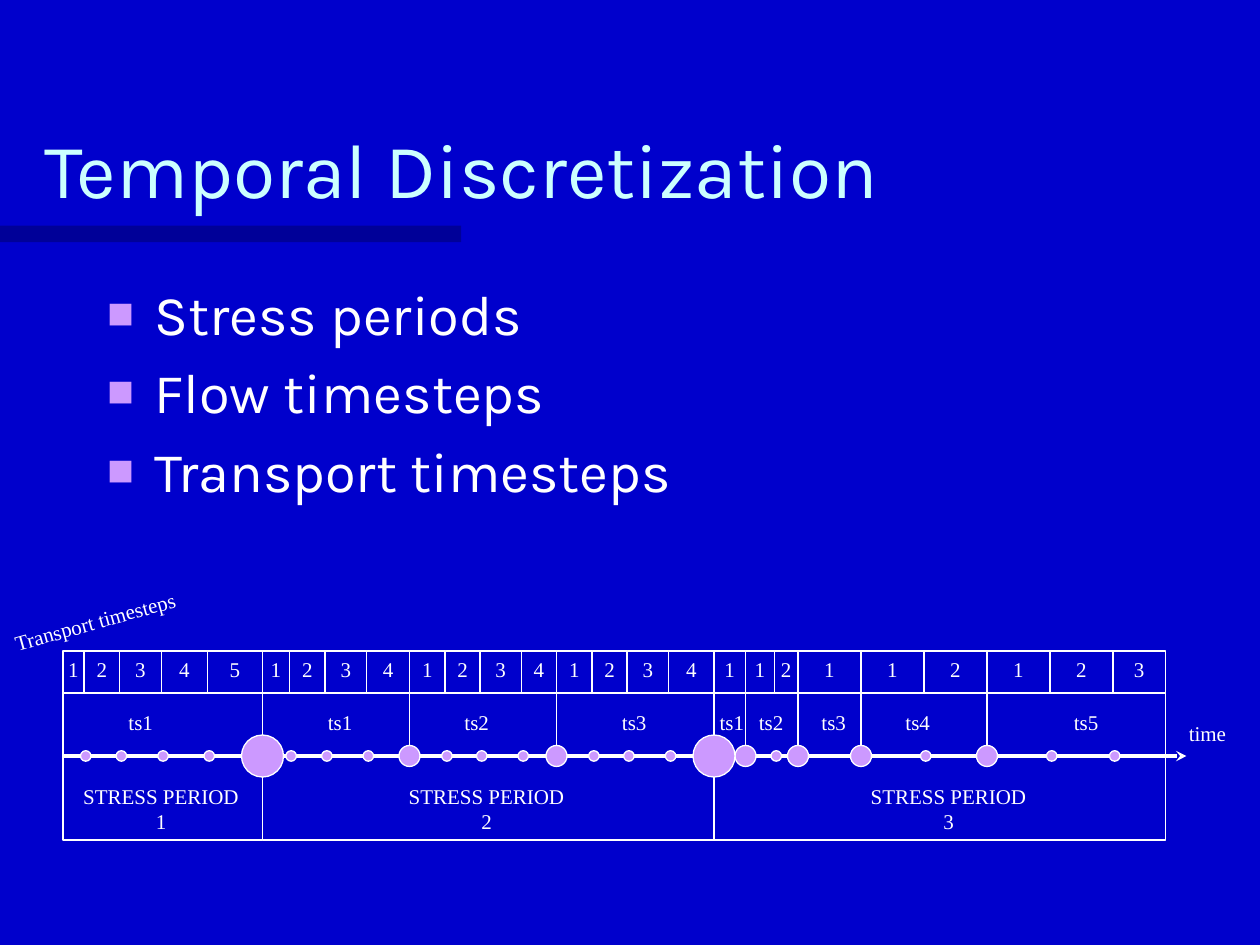
from dataclasses import dataclass
from itertools import pairwise

from lxml import etree
from pptx import Presentation
from pptx.dml.color import RGBColor
from pptx.enum.shapes import MSO_CONNECTOR, MSO_SHAPE
from pptx.enum.text import MSO_ANCHOR, MSO_AUTO_SIZE, PP_ALIGN
from pptx.oxml.ns import qn
from pptx.util import Pt

RECT, OVAL = MSO_SHAPE.RECTANGLE, MSO_SHAPE.OVAL
LINE = MSO_CONNECTOR.STRAIGHT
BOTTOM, TOP = MSO_ANCHOR.BOTTOM, MSO_ANCHOR.TOP
LEFT, CENTER = PP_ALIGN.LEFT, PP_ALIGN.CENTER
FIXED = MSO_AUTO_SIZE.NONE


@dataclass(frozen=True)
class Theme:
    back: str = "0000CC"
    bar: str = "000066"
    title: str = "CCFFFF"
    text: str = "FFFFFF"
    accent: str = "CC99FF"
    head: str = "Karla"
    label: str = "Times New Roman"
    big: int = 44
    list: int = 32
    small: int = 12
    thin: float = 0.75
    thick: float = 2


THEME = Theme()
AXIS = 432
PERIODS = [
    ("STRESS PERIOD 1", 92, [
        ("ts1", 80.4, [36, 48, 68.4, 92.2, 118.6, 150]),
    ]),
    ("STRESS PERIOD 2", 278, [
        ("ts1", 194.4, [150, 165.4, 185.8, 209.5, 234]),
        ("ts2", 272.4, [234, 254.4, 274.3, 298, 318]),
        ("ts3", 362.4, [318, 338.4, 358.4, 382.2, 408]),
    ]),
    ("STRESS PERIOD 3", 542, [
        ("ts1", 418.2, [408, 426]),
        ("ts2", 440.6, [426, 442.6, 456]),
        ("ts3", 476.4, [456, 492]),
        ("ts4", 524.4, [492, 528, 564]),
        ("ts5", 620.6, [564, 600, 636, 666]),
    ]),
]


def rgb(code):
    return RGBColor.from_string(code)


def style(para, face, size, color, align=LEFT):
    para.alignment = align
    para.font.name = face
    para.font.size = Pt(size)
    para.font.color.rgb = rgb(color)


def place(shape, left, top, width, height):
    shape.left, shape.top = Pt(left), Pt(top)
    shape.width, shape.height = Pt(width), Pt(height)


def add_bar(slide):
    bar = slide.shapes.add_shape(RECT, 0, Pt(129), Pt(263.5), Pt(9.4))
    bar.shadow.inherit = False
    bar.fill.solid()
    bar.fill.fore_color.rgb = rgb(THEME.bar)
    bar.line.fill.background()
    color = bar._element.spPr.find(".//" + qn("a:srgbClr"))
    etree.SubElement(color, qn("a:alpha"), val="50000")


def add_title(slide, text):
    title = slide.shapes.title
    place(title, 18, 36, 612, 90)
    frame = title.text_frame
    frame.text = text
    frame.auto_size = FIXED
    frame.vertical_anchor = BOTTOM
    style(frame.paragraphs[0], THEME.head, THEME.big, THEME.title)


def add_bullet(para):
    props = para._p.get_or_add_pPr()
    props.set("marL", str(Pt(27)))
    props.set("indent", str(-Pt(27)))
    color = etree.SubElement(props, qn("a:buClr"))
    etree.SubElement(color, qn("a:srgbClr"), val=THEME.accent)
    etree.SubElement(props, qn("a:buSzPct"), val="80000")
    etree.SubElement(props, qn("a:buChar"), char="■")


def add_list(slide, items):
    body = slide.placeholders[1]
    place(body, 54, 156, 612, 324)
    frame = body.text_frame
    frame.text = "\n".join(items)
    frame.auto_size = FIXED
    frame.vertical_anchor = TOP
    for para in frame.paragraphs:
        add_bullet(para)
        style(para, THEME.head, THEME.list, THEME.text)


def add_outline(group, kind, left, top, width, height):
    shape = group.shapes.add_shape(kind, Pt(left), Pt(top), Pt(width), Pt(height))
    shape.shadow.inherit = False
    shape.fill.background()
    shape.line.color.rgb = rgb(THEME.text)
    shape.line.width = Pt(THEME.thin)
    return shape


def add_box(group, left, right, top, height):
    add_outline(group, RECT, left, top, right - left, height)


def add_dot(group, x, size):
    dot = add_outline(group, OVAL, x - size / 2, AXIS - size / 2, size, size)
    dot.fill.solid()
    dot.fill.fore_color.rgb = rgb(THEME.accent)


def add_label(group, text, mid, top, width, height=21.6, align=CENTER):
    box = group.shapes.add_textbox(
        Pt(mid - width / 2), Pt(top), Pt(width), Pt(height))
    frame = box.text_frame
    frame.word_wrap = False
    frame.text = text
    style(frame.paragraphs[0], THEME.label, THEME.small, THEME.text, align)
    return box


def add_arrow(group, start, end):
    arrow = group.shapes.add_connector(LINE, Pt(start), Pt(AXIS), Pt(end), Pt(AXIS))
    arrow.line.color.rgb = rgb(THEME.text)
    arrow.line.width = Pt(THEME.thick)
    etree.SubElement(arrow.line._get_or_add_ln(), qn("a:tailEnd"), type="stealth")
    etree.SubElement(arrow._element.spPr, qn("a:effectLst"))


def add_grid(group):
    for _, _, steps in PERIODS:
        add_box(group, steps[0][2][0], steps[-1][2][-1], AXIS, 48)
        for _, _, edges in steps:
            add_box(group, edges[0], edges[-1], 396, 36)
            for left, right in pairwise(edges):
                add_box(group, left, right, 372, 24)


def add_dots(group):
    for _, _, steps in PERIODS:
        for _, _, edges in steps:
            for x in edges[1:-1]:
                add_dot(group, x + 1, 6)
        for _, _, edges in steps[:-1]:
            add_dot(group, edges[-1], 12)
    for _, _, steps in PERIODS[:-1]:
        add_dot(group, steps[-1][2][-1], 24)


def add_names(group):
    for name, mid, steps in PERIODS:
        add_label(group, name, mid, 444, 112)
        for step, spot, edges in steps:
            add_label(group, step, spot, 402, 29)
            for count, (left, right) in enumerate(pairwise(edges), 1):
                add_label(group, str(count), (left + right) / 2, 371.8, 20.4)
    add_label(group, "time", 690, 408, 36)
    note = add_label(group, "Transport timesteps", 62.6, 342, 125.2, 24, LEFT)
    note.text_frame.word_wrap = True
    note.rotation = 344.5


def main():
    deck = Presentation()
    deck.slide_width, deck.slide_height = Pt(720), Pt(540)
    slide = deck.slides.add_slide(deck.slide_layouts[1])
    slide.background.fill.solid()
    slide.background.fill.fore_color.rgb = rgb(THEME.back)
    add_bar(slide)
    add_title(slide, "Temporal Discretization")
    add_list(slide, ["Stress periods", "Flow timesteps", "Transport timesteps"])
    group = slide.shapes.add_group_shape()
    add_grid(group)
    add_arrow(group, 36, 678)
    add_dots(group)
    add_names(group)
    deck.save("out.pptx")


main()
